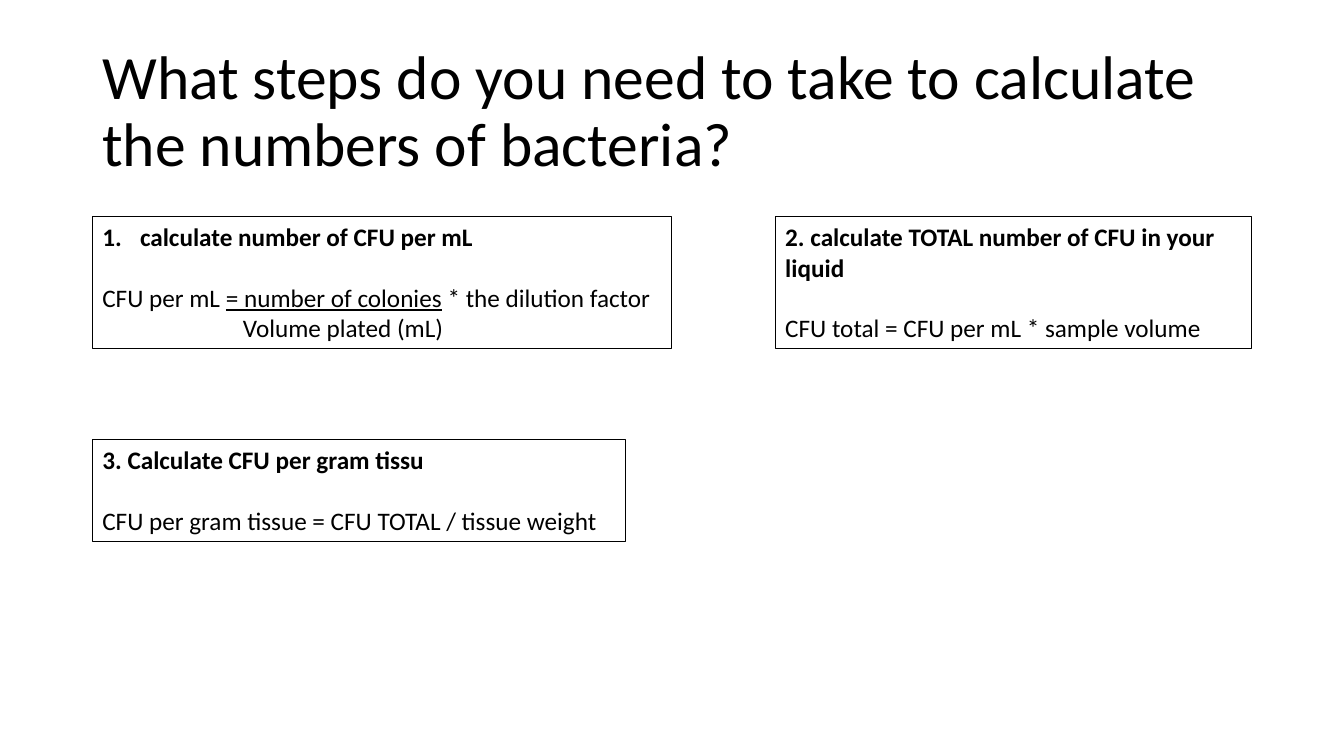
from lxml.etree import SubElement
from pptx import Presentation
from pptx.dml.color import RGBColor
from pptx.enum.text import MSO_ANCHOR, MSO_AUTO_SIZE
from pptx.oxml.ns import qn
from pptx.util import Cm, Pt

BLACK = RGBColor(0x00, 0x00, 0x00)
FONT = "Calibri"
LEFT = 2.33
FIRST_ROW = 5.46
SECOND_ROW = 11.08

presentation = Presentation()
presentation.slide_width = Cm(33.87)
presentation.slide_height = Cm(19.05)
slide = presentation.slides.add_slide(presentation.slide_layouts[6])


def add_text(paragraph, text, size=18, bold=False, underline=False):
    run = paragraph.add_run()
    run.text = text
    run.font.name = FONT
    run.font.size = Pt(size)
    run.font.bold = bold
    run.font.underline = underline
    run.font.color.rgb = BLACK


title = slide.shapes.add_textbox(Cm(LEFT), Cm(1.01), Cm(29.21), Cm(3.68))
title.text_frame.word_wrap = True
title.text_frame.vertical_anchor = MSO_ANCHOR.MIDDLE
title_paragraph = title.text_frame.paragraphs[0]
title_paragraph.line_spacing = 0.9
add_text(title_paragraph, "What steps do you need to take to calculate the numbers of bacteria?", size=44)

steps = [
    (LEFT, FIRST_ROW, 14.6, 3.33, "calculate number of CFU per mL",
     [("CFU per mL ", False), ("= number of colonies", True), (" * the dilution factor", False)]),
    (19.54, FIRST_ROW, 12.01, 3.33, "2. calculate TOTAL number of CFU in your liquid",
     [("CFU total = CFU per mL * sample volume", False)]),
    (LEFT, SECOND_ROW, 13.44, 2.57, "3. Calculate CFU per gram tissu",
     [("CFU per gram tissue = CFU TOTAL / tissue weight", False)]),
]

frames = []
for left, top, width, height, heading, formula in steps:
    box = slide.shapes.add_textbox(Cm(left), Cm(top), Cm(width), Cm(height))
    box.line.color.rgb = BLACK
    box.line.width = Pt(0.75)
    frame = box.text_frame
    frame.word_wrap = True
    frame.auto_size = MSO_AUTO_SIZE.SHAPE_TO_FIT_TEXT
    add_text(frame.paragraphs[0], heading, bold=True)
    formula_paragraph = frame.add_paragraph()
    formula_paragraph.space_before = Pt(21.5)
    for text, underlined in formula:
        add_text(formula_paragraph, text, underline=underlined)
    frames.append(frame)

first_frame = frames[0]
numbering = first_frame.paragraphs[0]._p.get_or_add_pPr()
numbering.set("marL", str(Cm(0.95)))
numbering.set("indent", str(-Cm(0.95)))
SubElement(numbering, qn("a:buAutoNum"), type="arabicPeriod")

denominator = first_frame.add_paragraph()
denominator._p.get_or_add_pPr().set("marL", str(Cm(3.54)))
add_text(denominator, "Volume plated (mL)")

presentation.save("out.pptx")
